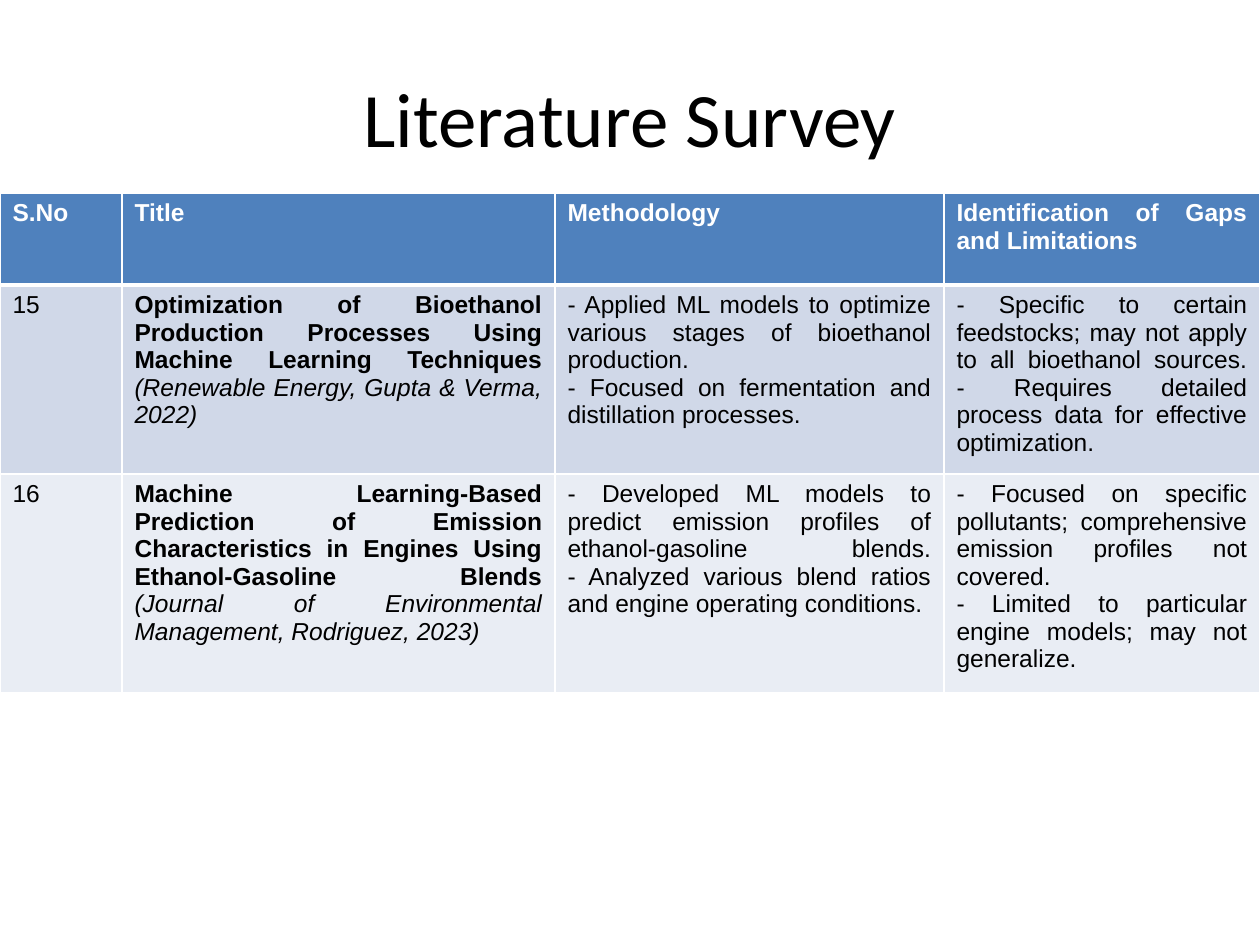
import pptx
import pptx.util
import pptx.dml.color
import pptx.enum.text
import pptx.oxml.ns
import lxml.etree

SCALE = 914400 // 126
INK = {"black": "000000", "white": "FFFFFF", "head": "4F81BD",
       "odd": "D0D8E8", "even": "E9EDF4"}
COLS = (122, 433, 389, 316)
ROW = 92
HEADS = ("S.No", "Title", "Methodology", "Identification of Gaps and Limitations")
# Number, (title, source), methods, gaps
PAPERS = (
    ("15",
     ("Optimization of Bioethanol Production Processes Using Machine Learning Techniques",
      "(Renewable Energy, Gupta & Verma, 2022)"),
     ("- Applied ML models to optimize various stages of bioethanol production.",
      "- Focused on fermentation and distillation processes."),
     ("- Specific to certain feedstocks; may not apply to all bioethanol sources.",
      "- Requires detailed process data for effective optimization.")),
    ("16",
     ("Machine Learning-Based Prediction of Emission Characteristics in Engines Using "
      "Ethanol-Gasoline Blends",
      "(Journal of Environmental Management, Rodriguez, 2023)"),
     ("- Developed ML models to predict emission profiles of ethanol-gasoline blends.",
      "- Analyzed various blend ratios and engine operating conditions."),
     ("- Focused on specific pollutants; comprehensive emission profiles not covered.",
      "- Limited to particular engine models; may not generalize.")),
)


def px(n):
    return pptx.util.Emu(n * SCALE)


def rgb(name):
    return pptx.dml.color.RGBColor.from_string(INK[name])


def style(para, face, size, color, align):
    para.alignment = align
    para.font.name = face
    para.font.size = pptx.util.Pt(size)
    para.font.color.rgb = rgb(color)


def add_title(slide, text):
    box = slide.shapes.add_textbox(px(63), px(38), px(1134), px(158))
    frame = box.text_frame
    frame.word_wrap = True
    frame.vertical_anchor = pptx.enum.text.MSO_ANCHOR.MIDDLE
    para = frame.paragraphs[0]
    para.text = text
    style(para, "Calibri", 44, "black", pptx.enum.text.PP_ALIGN.CENTER)


def add_edges(cell, base):
    """Draw white cell borders, with the bottom one base points wide."""
    props = cell._tc.get_or_add_tcPr()
    qn = pptx.oxml.ns.qn
    for side, width in (("L", 1), ("R", 1), ("T", 1), ("B", base)):
        line = lxml.etree.SubElement(props, qn("a:ln" + side),
                                     w=str(pptx.util.Pt(width)))
        fill = lxml.etree.SubElement(line, qn("a:solidFill"))
        lxml.etree.SubElement(fill, qn("a:srgbClr"), val=INK["white"])


def fill_cell(cell, lines, fill, color="black", base=1):
    """Set the lines of a cell in one paragraph and return its runs."""
    add_edges(cell, base)
    cell.fill.solid()
    cell.fill.fore_color.rgb = rgb(fill)
    para = cell.text_frame.paragraphs[0]
    style(para, "Arial", 14, color, pptx.enum.text.PP_ALIGN.JUSTIFY)
    for i, line in enumerate(lines):
        if i:
            para.add_line_break()
        para.add_run().text = line
    return para.runs


def add_papers(slide):
    table = slide.shapes.add_table(len(PAPERS) + 1, len(COLS), 0, px(193), px(sum(COLS)),
                                   px(ROW * (len(PAPERS) + 1))).table
    for col, width in zip(table.columns, COLS):
        col.width = px(width)
    for c, head in enumerate(HEADS):
        fill_cell(table.cell(0, c), [head], "head", "white", 3)[0].font.bold = True
    for r, (number, work, method, gaps) in enumerate(PAPERS, 1):
        fill = "odd" if r % 2 else "even"
        for c, lines in enumerate(([number], work, method, gaps)):
            runs = fill_cell(table.cell(r, c), lines, fill)
            if lines is work:
                runs[0].font.bold = True
                runs[1].font.italic = True


def main():
    deck = pptx.Presentation()
    deck.slide_width, deck.slide_height = px(1260), px(945)
    slide = deck.slides.add_slide(deck.slide_layouts[6])
    add_title(slide, "Literature Survey")
    add_papers(slide)
    deck.save("out.pptx")


if __name__ == "__main__":
    main()
